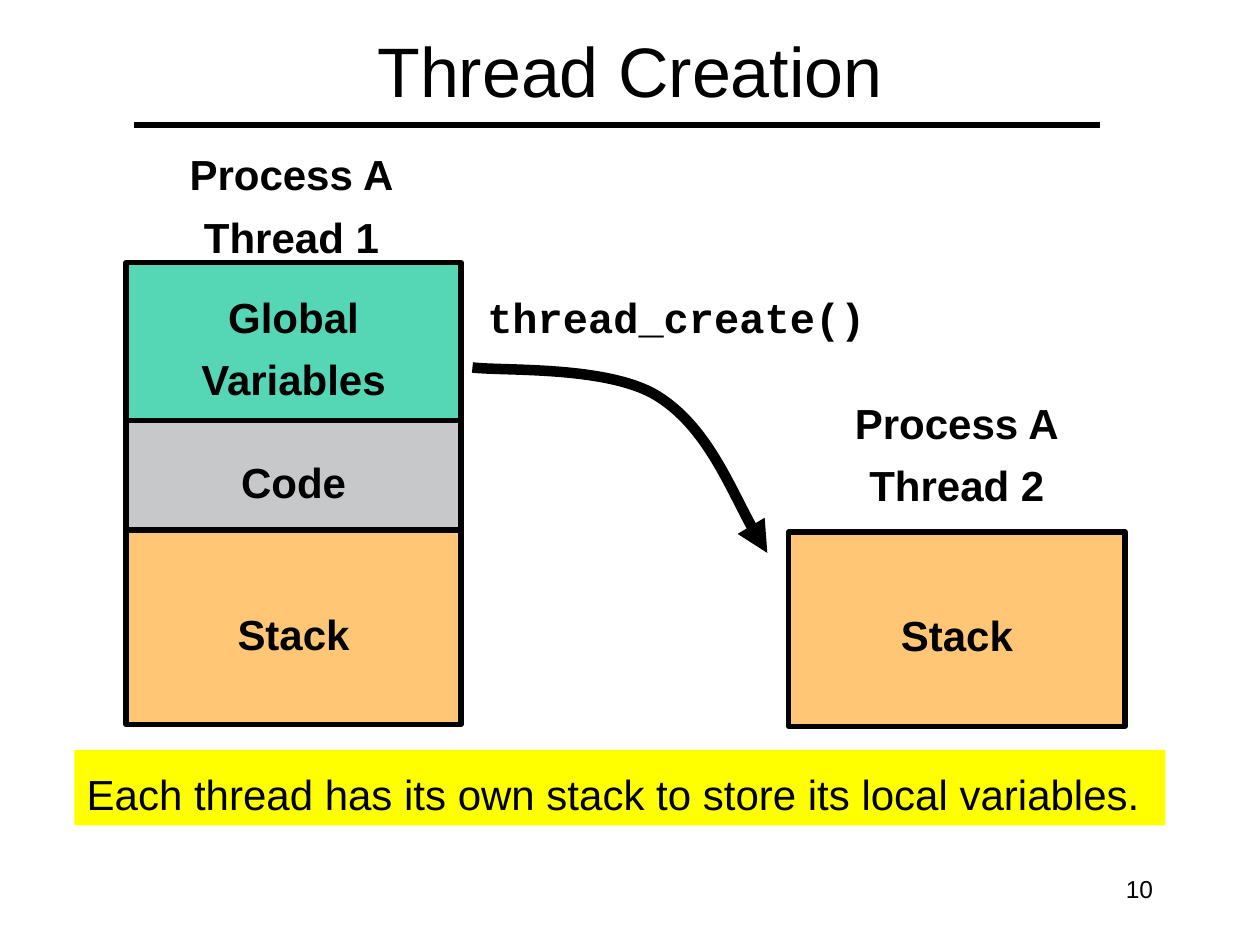
from lxml.etree import SubElement
from pptx import Presentation
from pptx.dml.color import RGBColor
from pptx.enum.shapes import MSO_CONNECTOR, MSO_SHAPE
from pptx.enum.text import MSO_ANCHOR, PP_ALIGN
from pptx.oxml.ns import qn
from pptx.util import Pt

BLACK = RGBColor(0x00, 0x00, 0x00)
GREEN = RGBColor(0x55, 0xD7, 0xB5)
GRAY = RGBColor(0xC7, 0xC8, 0xC9)
ORANGE = RGBColor(0xFF, 0xC7, 0x75)
YELLOW = RGBColor(0xFF, 0xFF, 0x00)


class ThreadSlide:
    font_name = "Arial"
    code_font = "Courier New"
    body_size = 24
    loose = 1.24
    tight = 1.03

    def __init__(self, slide):
        self.slide = slide

    def set_text(self, shape, text, size=body_size, bold=False, font=font_name,
                 align=PP_ALIGN.CENTER, anchor=MSO_ANCHOR.MIDDLE,
                 spacing=loose, wrap=False):
        frame = shape.text_frame
        frame.text = text
        frame.word_wrap = wrap
        frame.vertical_anchor = anchor
        for paragraph in frame.paragraphs:
            paragraph.alignment = align
            paragraph.line_spacing = spacing
            for run in paragraph.runs:
                run.font.name = font
                run.font.size = Pt(size)
                run.font.bold = bold
                run.font.color.rgb = BLACK

    def label(self, left, top, width, height, text, **style):
        box = self.slide.shapes.add_textbox(
            Pt(left), Pt(top), Pt(width), Pt(height))
        self.set_text(box, text, **style)

    def block(self, left, top, width, height, text, color,
              outlined=True, **style):
        rectangle = self.slide.shapes.add_shape(
            MSO_SHAPE.RECTANGLE, Pt(left), Pt(top), Pt(width), Pt(height))
        rectangle.shadow.inherit = False
        rectangle.fill.solid()
        rectangle.fill.fore_color.rgb = color
        if outlined:
            rectangle.line.color.rgb = BLACK
            rectangle.line.width = Pt(3)
        else:
            rectangle.line.fill.background()
        self.set_text(rectangle, text, **style)

    def rule(self, left, right, y):
        line = self.slide.shapes.add_connector(
            MSO_CONNECTOR.STRAIGHT, Pt(left), Pt(y), Pt(right), Pt(y))
        line.line.color.rgb = BLACK
        line.line.width = Pt(3)
        SubElement(line._element.spPr, qn("a:effectLst"))

    def curved_arrow(self, start, *controls):
        builder = self.slide.shapes.build_freeform(Pt(start[0]), Pt(start[1]))
        builder.add_line_segments(
            [(Pt(x), Pt(y)) for x, y in controls], close=False)
        arrow = builder.convert_to_shape()
        arrow.shadow.inherit = False
        arrow.fill.background()
        arrow.line.color.rgb = BLACK
        arrow.line.width = Pt(6)
        line_style = arrow._element.spPr.find(qn("a:ln"))
        SubElement(line_style, qn("a:tailEnd"), type="triangle")
        segments = arrow._element.xpath(".//a:lnTo")
        outline = segments[0].getparent()
        for first in range(0, len(segments), 3):
            curve = SubElement(outline, qn("a:cubicBezTo"))
            for segment in segments[first:first + 3]:
                curve.append(segment[0])
                outline.remove(segment)


def main():
    presentation = Presentation()
    presentation.slide_width = Pt(720)
    presentation.slide_height = Pt(540)
    page = ThreadSlide(
        presentation.slides.add_slide(presentation.slide_layouts[6]))

    page.label(30, 24, 660, 30, "Thread Creation",
               size=40, spacing=page.tight, wrap=True)
    page.label(70.5, 94.3, 192.2, 39, "Process A\nThread 1", bold=True)

    top = 150
    for text, height, color in (
        ("Global\nVariables", 90.3, GREEN),
        ("Code", 62.6, GRAY),
        ("Stack", 111, ORANGE),
    ):
        page.block(72, top, 191.5, height, text, color, bold=True)
        top += height

    page.label(450.7, 236.2, 192.2, 39, "Process A\nThread 2", bold=True)
    page.block(450.7, 304, 192.2, 111, "Stack", ORANGE, bold=True)
    page.curved_arrow((270, 210), (287, 212.2), (347.5, 208.8), (375.8, 226.4),
                      (404, 244), (425.5, 297.5), (438.5, 316))
    page.label(271.4, 162, 230.4, 36.7, "thread_create()", bold=True,
               font=page.code_font, align=PP_ALIGN.LEFT,
               anchor=MSO_ANCHOR.TOP, spacing=page.tight)
    page.rule(76.5, 628.5, 71.5)
    page.block(42.5, 428.5, 623.5, 43.2,
               "Each thread has its own stack to store its local variables.",
               YELLOW, outlined=False, align=PP_ALIGN.LEFT,
               anchor=MSO_ANCHOR.TOP, wrap=True)
    page.label(516, 492, 150, 35.3, "10", size=14, align=PP_ALIGN.RIGHT,
               anchor=MSO_ANCHOR.TOP, wrap=True)

    presentation.save("out.pptx")


if __name__ == "__main__":
    main()
